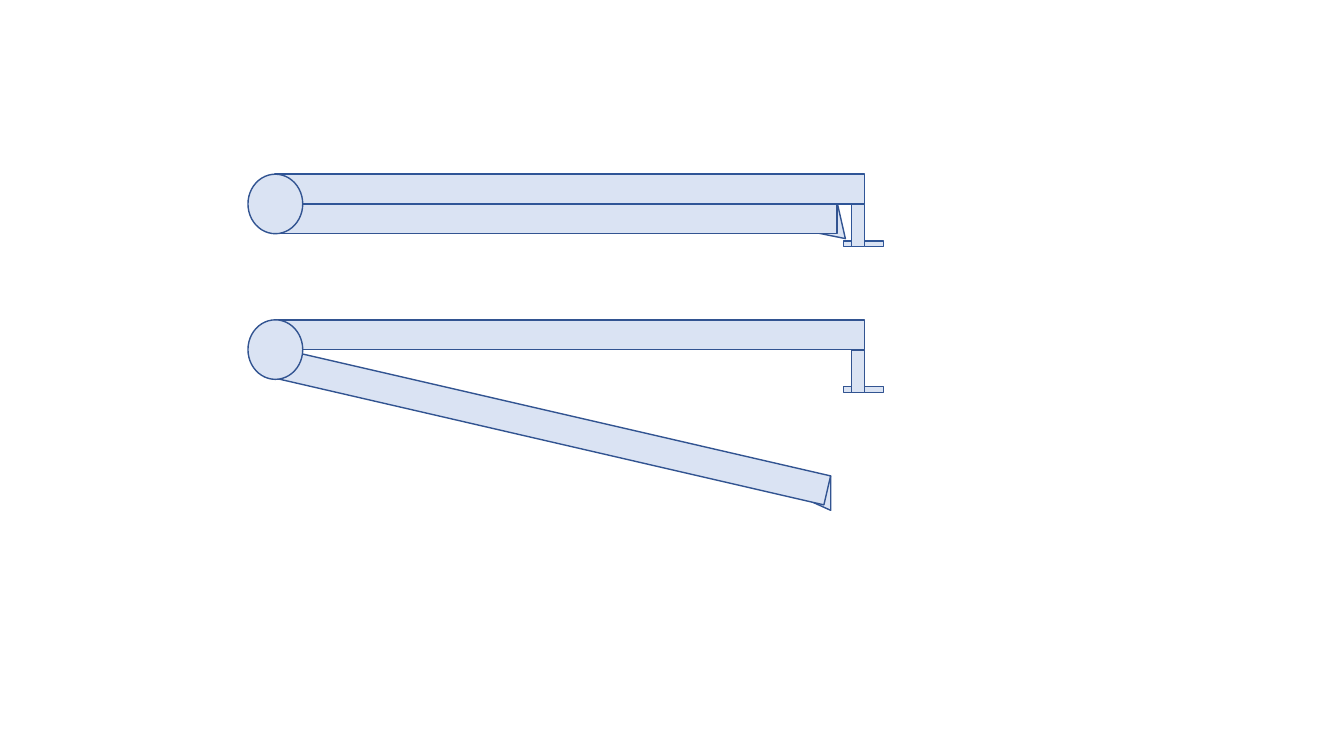
"""Draw a hinged clamp twice: closed above, open below."""
from pptx import Presentation
from pptx.dml.color import RGBColor
from pptx.enum.shapes import MSO_SHAPE
from pptx.util import Cm, Pt

FILL = "DAE3F3"
EDGE = "325491"
RECT = MSO_SHAPE.RECTANGLE


def color(fmt, code):
    fmt.rgb = RGBColor.from_string(code)


def draw(group, kind, box, edge, turn=0):
    part = group.shapes.add_shape(kind, *[Cm(n) for n in box])
    part.rotation = turn
    part.shadow.inherit = False
    part.fill.solid()
    color(part.fill.fore_color, FILL)
    color(part.line.color, edge)
    part.line.width = Pt(1)


deck = Presentation()
deck.slide_width = Cm(33.87)
deck.slide_height = Cm(19.05)
slide = deck.slides.add_slide(deck.slide_layouts[6])

# top, frame edge, hook place and turn, arm place and turn
clamps = [
    (4.39, "2F5597", (20.68, 5.16), 11.4, (6.93, 5.14), 0),
    (8.06, EDGE, (20.42, 11.96), 24.3, (6.86, 10.39), 13),
]

for top, edge, hook, tilt, arm, turn in clamps:
    group = slide.shapes.add_group_shape()
    draw(group, MSO_SHAPE.ISOSCELES_TRIANGLE, (*hook, 0.71, 0.79), EDGE, tilt)
    draw(group, RECT, (*arm, 14.17, 0.75), EDGE, turn)

    frame = [
        (6.93, 0, 14.86, 0.75),
        (21.46, 0.76, 0.33, 1.07),
        (21.26, 1.68, 0.2, 0.15),
        (21.78, 1.68, 0.48, 0.15),
    ]
    for left, drop, wide, high in frame:
        draw(group, RECT, (left, top + drop, wide, high), edge)

    draw(group, MSO_SHAPE.OVAL, (6.25, top, 1.38, 1.5), EDGE)

deck.save("out.pptx")
